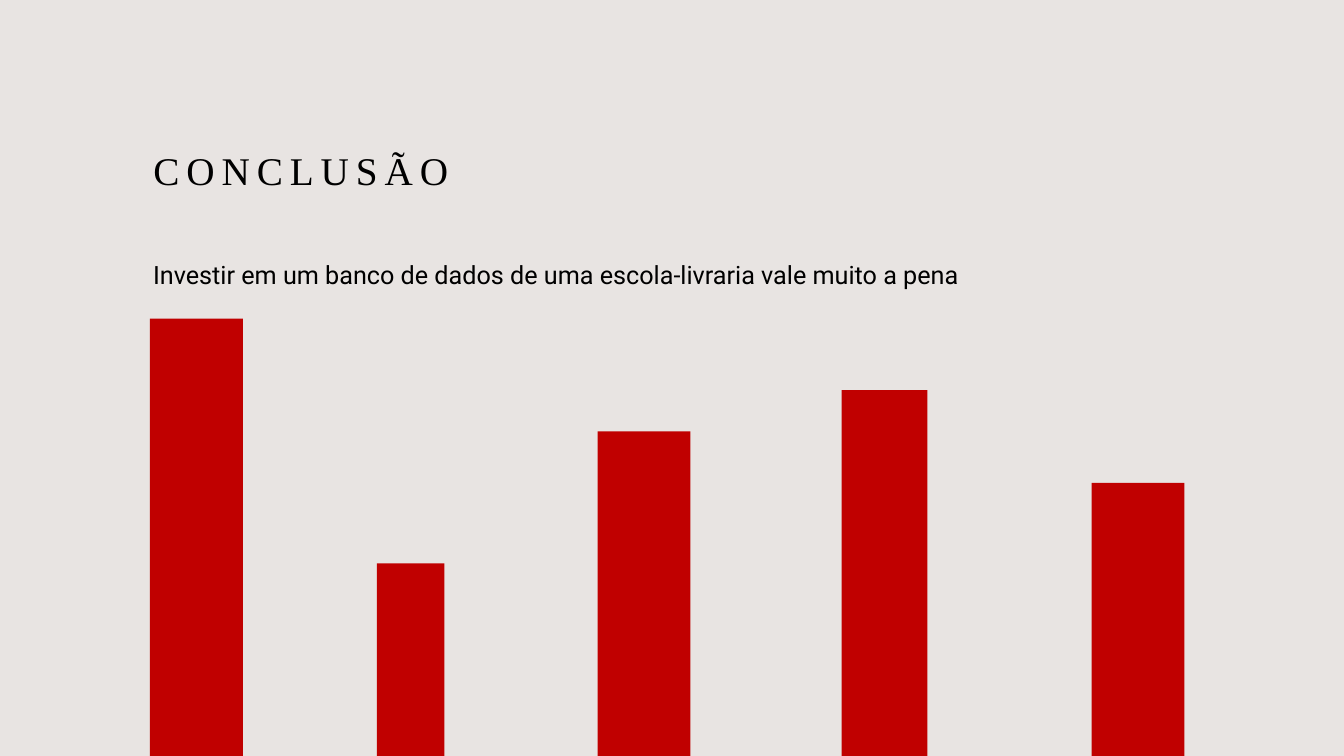
from dataclasses import dataclass

from pptx import Presentation
from pptx.dml.color import RGBColor
from pptx.enum.shapes import MSO_SHAPE
from pptx.enum.text import MSO_ANCHOR, MSO_AUTO_SIZE, PP_ALIGN
from pptx.shapes.base import BaseShape
from pptx.slide import Slide
from pptx.util import Cm, Pt


@dataclass(frozen=True)
class Theme:
    background: RGBColor = RGBColor(0xE8, 0xE4, 0xE2)
    ink: RGBColor = RGBColor(0, 0, 0)
    bar: RGBColor = RGBColor(0xC0, 0, 0)
    title_font: str = "Times New Roman"
    body_font: str = "Roboto"
    title_size: int = 28
    body_size: int = 18
    title_tracking: int = 5
    line_spacing: float = 1.2


@dataclass(frozen=True)
class Bar:
    left: float
    top: float
    width: float = 2.34


THEME = Theme()
SLIDE_WIDTH, SLIDE_HEIGHT = 33.87, 19.05
TEXT_LEFT, TEXT_WIDTH = 3.61, 26.67
BARS = (
    Bar(3.78, 8.03),
    Bar(9.5, 14.2, width=1.7),
    Bar(15.06, 10.87),
    Bar(21.21, 9.83, width=2.16),
    Bar(27.51, 12.17),
)


def place(shape: BaseShape, top: float, height: float) -> None:
    """Set the shape in the text column."""
    shape.left, shape.top = Cm(TEXT_LEFT), Cm(top)
    shape.width, shape.height = Cm(TEXT_WIDTH), Cm(height)


def write(box: BaseShape, text: str, *, font: str, size: int,
          anchor: MSO_ANCHOR = MSO_ANCHOR.TOP, tracking: int = 0) -> None:
    frame = box.text_frame
    frame.word_wrap = True
    frame.auto_size = MSO_AUTO_SIZE.NONE
    frame.vertical_anchor = anchor
    para = frame.paragraphs[0]
    para.alignment = PP_ALIGN.LEFT
    para.line_spacing = THEME.line_spacing
    span = para.add_run()
    span.text = text
    span.font.name = font
    span.font.size = Pt(size)
    span.font.color.rgb = THEME.ink
    if tracking:
        span._r.get_or_add_rPr().set("spc", str(tracking * 100))


def draw_bar(page: Slide, bar: Bar) -> None:
    """Draw a bar that stands on the bottom edge of the slide."""
    shape = page.shapes.add_shape(
        MSO_SHAPE.RECTANGLE, Cm(bar.left), Cm(bar.top),
        Cm(bar.width), Cm(SLIDE_HEIGHT - bar.top))
    shape.shadow.inherit = False
    shape.fill.solid()
    shape.fill.fore_color.rgb = THEME.bar
    shape.line.fill.background()


def main() -> None:
    deck = Presentation()
    deck.slide_width, deck.slide_height = Cm(SLIDE_WIDTH), Cm(SLIDE_HEIGHT)
    page = deck.slides.add_slide(deck.slide_layouts.get_by_name("Title Only"))
    page.background.fill.solid()
    page.background.fill.fore_color.rgb = THEME.background

    title = page.shapes.title
    place(title, top=2.34, height=3.63)
    write(title, "CONCLUSÃO", font=THEME.title_font, size=THEME.title_size,
          anchor=MSO_ANCHOR.MIDDLE, tracking=THEME.title_tracking)

    body = page.shapes.add_textbox(0, 0, 0, 0)
    place(body, top=6.27, height=10.11)
    write(body, "Investir em um banco de dados de uma escola-livraria vale muito a pena",
          font=THEME.body_font, size=THEME.body_size)

    for bar in BARS:
        draw_bar(page, bar)
    deck.save("out.pptx")


if __name__ == "__main__":
    main()
